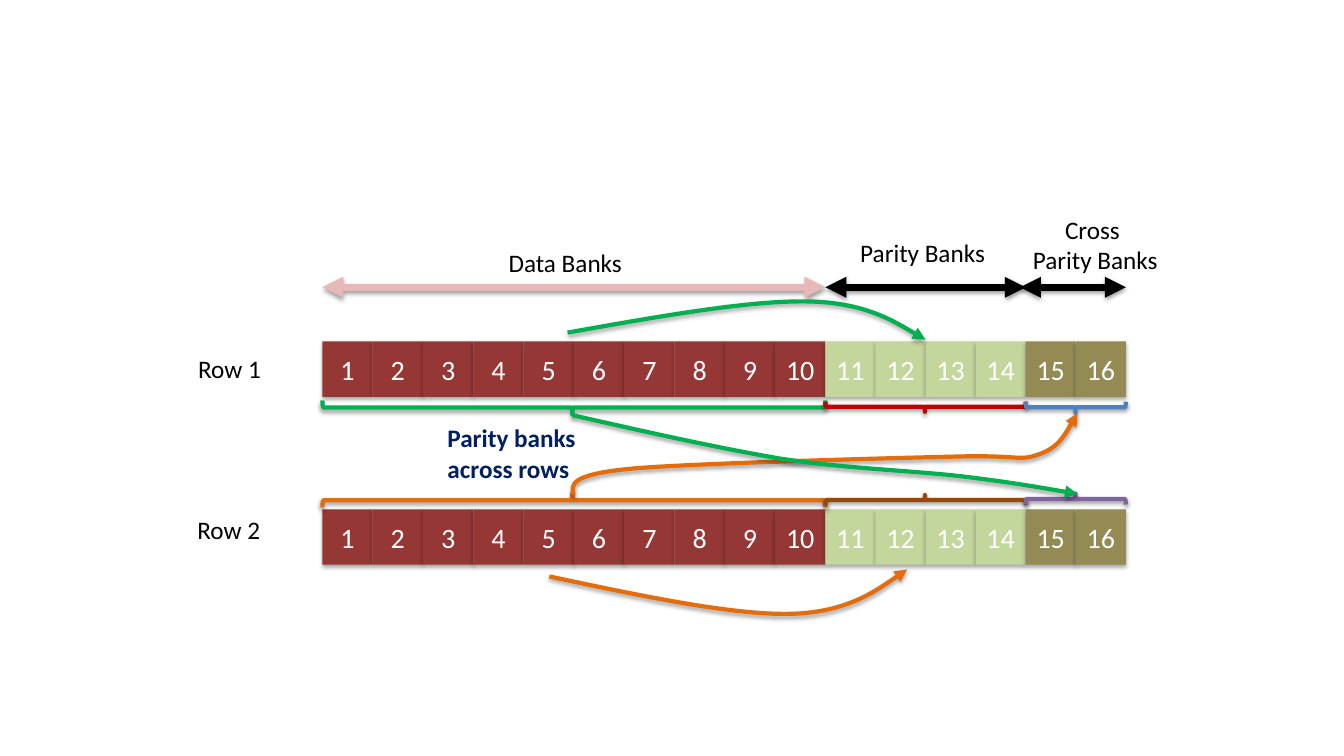
from dataclasses import dataclass

from lxml.etree import SubElement
from pptx import Presentation
from pptx.dml.color import RGBColor
from pptx.enum.shapes import MSO_CONNECTOR, MSO_SHAPE
from pptx.enum.text import MSO_ANCHOR, MSO_AUTO_SIZE, PP_ALIGN
from pptx.oxml.ns import qn
from pptx.util import Pt

FONT = "Calibri"
BLACK = RGBColor(0x00, 0x00, 0x00)
WHITE = RGBColor(0xFF, 0xFF, 0xFF)
NAVY = RGBColor(0x00, 0x20, 0x60)
MAROON = RGBColor(0x95, 0x37, 0x35)
LIME = RGBColor(0xC3, 0xD6, 0x9B)
OLIVE = RGBColor(0x94, 0x8A, 0x54)
PINK = RGBColor(0xE6, 0xB9, 0xB8)
GREEN = RGBColor(0x00, 0xB0, 0x50)
RED = RGBColor(0xC0, 0x00, 0x00)
BLUE = RGBColor(0x4F, 0x81, 0xBD)
ORANGE = RGBColor(0xE4, 0x6C, 0x0A)
BROWN = RGBColor(0x98, 0x48, 0x07)
PURPLE = RGBColor(0x80, 0x64, 0xA2)

# Bank grid, in points
LEFT, DATA_PITCH, PARITY_PITCH, BANK_H = 230.3, 35.93, 35.77, 39.6
ROW_TOPS = (243.9, 363.8)
DATA_END, PARITY_END, CROSS_END = 10, 14, 16
ARROW_Y = 205.2


@dataclass
class Label:
    text: str
    x: float
    y: float
    w: float
    h: float
    color: RGBColor = BLACK
    bold: bool = False
    wrap: bool = True
    align: PP_ALIGN = PP_ALIGN.LEFT


@dataclass
class Span:
    x1: float
    x2: float
    color: RGBColor


@dataclass
class Brace:
    first: int
    last: int
    mid_y: float
    depth: float
    color: RGBColor
    points_up: bool


@dataclass
class Curve:
    color: RGBColor
    points: list  # start, then two controls and an end per segment


def column_x(n: int) -> float:
    return LEFT + min(n, DATA_END) * DATA_PITCH + max(n - DATA_END, 0) * PARITY_PITCH


LABELS = [
    Label("Row 1", 134.4, 249.1, 59.8, 28.8, wrap=False),
    Label("Row 2", 133.9, 363.8, 59.8, 28.8, wrap=False),
    Label("Data Banks", 356.2, 172.8, 108, 28.8),
    Label("Parity Banks", 607.4, 166.3, 108, 28.8),
    Label("Cross \nParity Banks", 728.4, 149.6, 108, 51.1, align=PP_ALIGN.CENTER),
    Label("Parity banks across rows", 312.5, 298.3, 123.1, 51.1, NAVY, bold=True),
]
SPANS = [
    Span(LEFT, column_x(DATA_END), PINK),
    Span(column_x(DATA_END), column_x(PARITY_END), BLACK),
    Span(728.6, column_x(CROSS_END), BLACK),
]
BRACES = [
    Brace(0, DATA_END, 291, 10.1, GREEN, False),
    Brace(DATA_END, PARITY_END, 290.5, 7.2, RED, False),
    Brace(PARITY_END, CROSS_END, 290.9, 7.9, BLUE, False),
    Brace(0, DATA_END, 357.4, 10.1, ORANGE, True),
    Brace(DATA_END, PARITY_END, 357.2, 7.2, BROWN, True),
    Brace(PARITY_END, CROSS_END, 356.4, 7.9, PURPLE, True),
]
CURVES = [
    Curve(GREEN, [(405.4, 237.6), (470.2, 226.1), (534.2, 214.6), (576.7, 215.3),
                  (619.9, 216), (661, 242.6), (661, 242.6)]),
    Curve(ORANGE, [(392.4, 411.8), (457.2, 425.5), (521.3, 439.2), (563.8, 438.5),
                   (607, 437.8), (648, 406.8), (648, 406.8)]),
    Curve(ORANGE, [(409.7, 353.5), (408.2, 346.3), (406.1, 339.1), (450.7, 334.8),
                   (496.1, 330.5), (680.4, 326.2), (680.4, 326.2),
                   (728.6, 324.7), (727.2, 329.8), (741.6, 324.7),
                   (756.7, 319.7), (766.8, 300.2), (769.7, 295.2)]),
    Curve(GREEN, [(409, 296.6), (460.1, 308.2), (511.2, 319.7), (557.3, 327.6),
                  (604.1, 334.8), (653.8, 336.2), (689.8, 340.6),
                  (725, 344.9), (769.7, 352.8), (769.7, 352.8)]),
]


def add_shadow(sp, alpha: int, distance: float) -> None:
    effects = SubElement(sp.element.spPr, qn("a:effectLst"))
    shadow = SubElement(effects, qn("a:outerShdw"), blurRad=str(Pt(3.1)),
                        dist=str(Pt(distance)), dir="5400000", rotWithShape="0")
    color = SubElement(shadow, qn("a:srgbClr"), val=str(BLACK))
    SubElement(color, qn("a:alpha"), val=str(alpha * 1000))


def set_line(sp, color: RGBColor, width: float, ends: tuple = ()) -> None:
    sp.line.color.rgb = color
    sp.line.width = Pt(width)
    ln = sp.element.spPr.find(qn("a:ln"))
    for end in ends:
        SubElement(ln, qn(f"a:{end}"), type="triangle")


def set_text(sp, text: str, size: float, color: RGBColor, align: PP_ALIGN,
             bold: bool = False) -> None:
    p = sp.text_frame.paragraphs[0]
    p.text = text
    p.alignment = align
    for r in p.runs:
        r.font.name, r.font.size, r.font.bold = FONT, Pt(size), bold
        r.font.color.rgb = color


def draw_row(s, top: float) -> None:
    group = s.shapes.add_group_shape()
    for n in range(CROSS_END):
        x = column_x(n)
        sp = group.shapes.add_shape(MSO_SHAPE.RECTANGLE, Pt(x), Pt(top),
                                    Pt(column_x(n + 1) - x), Pt(BANK_H))
        sp.fill.solid()
        sp.fill.fore_color.rgb = (MAROON if n < DATA_END
                                  else LIME if n < PARITY_END else OLIVE)
        sp.line.fill.background()
        add_shadow(sp, 35, 1.8)
        tf = sp.text_frame
        tf.margin_left = tf.margin_right = 0
        tf.vertical_anchor = MSO_ANCHOR.MIDDLE
        set_text(sp, str(n + 1), 20, WHITE, PP_ALIGN.CENTER)


def draw_label(s, label: Label) -> None:
    sp = s.shapes.add_textbox(Pt(label.x), Pt(label.y), Pt(label.w), Pt(label.h))
    sp.text_frame.word_wrap = label.wrap
    sp.text_frame.auto_size = MSO_AUTO_SIZE.SHAPE_TO_FIT_TEXT
    set_text(sp, label.text, 18, label.color, label.align, label.bold)


def draw_span(s, span: Span) -> None:
    sp = s.shapes.add_connector(MSO_CONNECTOR.STRAIGHT, Pt(span.x1), Pt(ARROW_Y),
                                Pt(span.x2), Pt(ARROW_Y))
    set_line(sp, span.color, 5, ("headEnd", "tailEnd"))
    add_shadow(sp, 38, 1.6)


def draw_brace(s, brace: Brace) -> None:
    x1, x2 = column_x(brace.first), column_x(brace.last)
    length = x2 - x1
    sp = s.shapes.add_shape(MSO_SHAPE.LEFT_BRACE, Pt((x1 + x2 - brace.depth) / 2),
                            Pt(brace.mid_y - length / 2), Pt(brace.depth), Pt(length))
    sp.adjustments[0], sp.adjustments[1] = 0.083, 0.497
    sp.rotation = 90 if brace.points_up else 270
    if brace.points_up:
        sp.element.spPr.find(qn("a:xfrm")).set("flipV", "1")
    sp.fill.background()
    set_line(sp, brace.color, 3)
    add_shadow(sp, 38, 1.6)


def draw_curve(s, curve: Curve) -> None:
    points = [(Pt(x), Pt(y)) for x, y in curve.points]
    builder = s.shapes.build_freeform(*points[0])
    builder.add_line_segments(points[3::3], close=False)
    sp = builder.convert_to_shape()
    # Bend each straight segment into a cubic Bezier
    for i, segment in enumerate(list(sp.element.spPr.iter(qn("a:lnTo")))):
        bezier = SubElement(segment.getparent(), qn("a:cubicBezTo"))
        for x, y in points[3 * i + 1:3 * i + 4]:
            SubElement(bezier, qn("a:pt"), x=str(x - sp.left), y=str(y - sp.top))
        segment.getparent().replace(segment, bezier)
    sp.fill.background()
    set_line(sp, curve.color, 3, ("tailEnd",))
    add_shadow(sp, 35, 1.8)


def main() -> None:
    prs = Presentation()
    prs.slide_width, prs.slide_height = Pt(960), Pt(540)
    s = prs.slides.add_slide(prs.slide_layouts[6])

    # Bank rows
    for top in reversed(ROW_TOPS):
        draw_row(s, top)
    # Extent arrows, braces and parity links
    for span in SPANS:
        draw_span(s, span)
    for brace in BRACES:
        draw_brace(s, brace)
    for curve in CURVES:
        draw_curve(s, curve)
    # Labels
    for label in LABELS:
        draw_label(s, label)

    prs.save("out.pptx")


if __name__ == "__main__":
    main()
